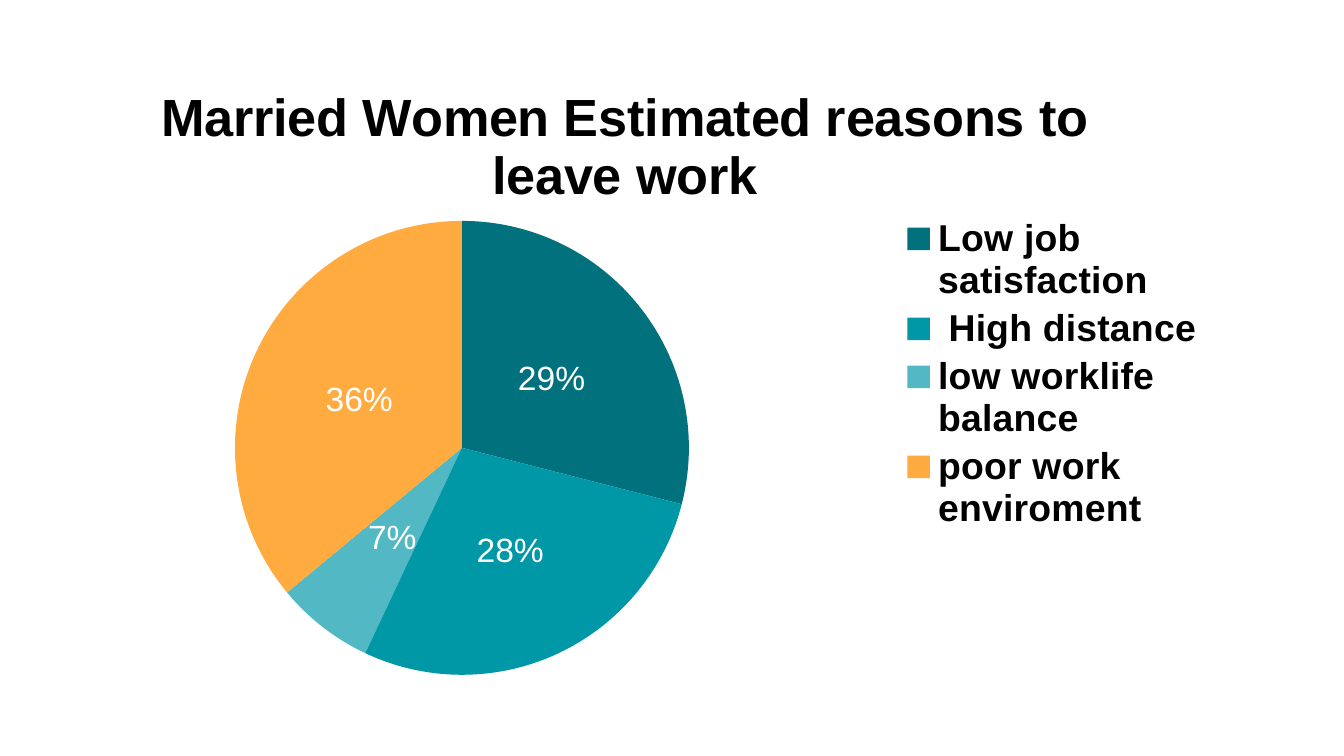
from lxml.etree import SubElement
from pptx import Presentation
from pptx.chart.data import CategoryChartData
from pptx.dml.color import RGBColor
from pptx.enum.chart import XL_CHART_TYPE as ChartType
from pptx.enum.chart import XL_LABEL_POSITION as LabelPosition
from pptx.enum.chart import XL_LEGEND_POSITION as LegendPosition
from pptx.oxml.ns import qn
from pptx.util import Pt

EMU_PER_PX = 914400 / 134.4
FONT = "Arial"
REASONS = [
    # reason, share, colour, opacity in percent
    ("Low job satisfaction", 29, "00717D", 100),
    (" High distance", 28, "0097A7", 100),
    ("low worklife balance", 7, "0097A7", 68),
    ("poor work enviroment", 36, "FFAB40", 100),
]


def px(length):
    return round(length * EMU_PER_PX)


def rgb(hex_code):
    return RGBColor.from_string(hex_code)


def set_font(font, size, color="000000", bold=False):
    font.name = FONT
    font.size = Pt(size)
    font.bold = bold
    font.color.rgb = rgb(color)


def write_text(frame, text, **font_format):
    run = frame.paragraphs[0].add_run()
    run.text = text
    set_font(run.font, **font_format)


def fill_slice(pie_slice, color, opacity):
    pie_slice.format.line.fill.background()
    fill = pie_slice.format.fill
    fill.solid()
    fill.fore_color.rgb = rgb(color)
    if opacity < 100:
        for color_node in pie_slice.format.fill._xPr.iter(qn("a:srgbClr")):
            SubElement(color_node, qn("a:alpha"), val=str(opacity * 1000))


def place_part(part, index, part_box, chart_box, inner=False):
    """Pin a chart part to a px box measured from the chart's corner."""
    for old_layout in part.findall(qn("c:layout")):
        part.remove(old_layout)
    layout = SubElement(part, qn("c:layout"))
    part.insert(index, layout)
    manual = SubElement(layout, qn("c:manualLayout"))
    if inner:
        SubElement(manual, qn("c:layoutTarget"), val="inner")
    for axis in "xy":
        SubElement(manual, qn(f"c:{axis}Mode"), val="edge")
    for key, length, whole in zip("xywh", part_box, chart_box[2:] * 2):
        SubElement(manual, qn(f"c:{key}"), val=f"{length / whole:.4f}")


def add_reasons_pie(slide, box):
    names, shares, colors, opacities = zip(*REASONS)
    data = CategoryChartData()
    data.categories = names
    data.add_series("Series 1", shares)
    chart = slide.shapes.add_chart(ChartType.PIE, *map(px, box), data).chart
    set_font(chart.font, 10)

    chart.has_title = True
    write_text(chart.chart_title.text_frame,
               "Married Women Estimated reasons to leave work", size=28, bold=True)
    chart.chart_title.include_in_layout = False

    chart.has_legend = True
    chart.legend.position = LegendPosition.RIGHT
    chart.legend.include_in_layout = False
    set_font(chart.legend.font, 20, bold=True)

    pie = chart.plots[0]
    pie.vary_by_categories = True
    for index, (color, opacity) in enumerate(zip(colors, opacities)):
        fill_slice(pie.series[0].points[index], color, opacity)

    labels = pie.series[0].data_labels
    labels.show_percentage = True
    labels.show_value = False
    labels.number_format = "0%"
    labels.number_format_is_linked = False
    labels.position = LabelPosition.CENTER
    set_font(labels.font, 18, "FFFFFF")

    chart_node = chart.element.find(qn("c:chart"))
    place_part(chart_node.find(qn("c:plotArea")), 0, (203, 166, 454, 454), box, inner=True)
    place_part(chart_node.find(qn("c:legend")), 1, (865, 157, 310, 324), box)


def main():
    deck = Presentation()
    deck.slide_width, deck.slide_height = px(1344), px(756)
    slide = deck.slides.add_slide(deck.slide_layouts[6])
    slide.background.fill.solid()
    slide.background.fill.fore_color.rgb = rgb("FFFFFF")
    add_reasons_pie(slide, (32, 55, 1185, 640))
    deck.save("out.pptx")


if __name__ == "__main__":
    main()
